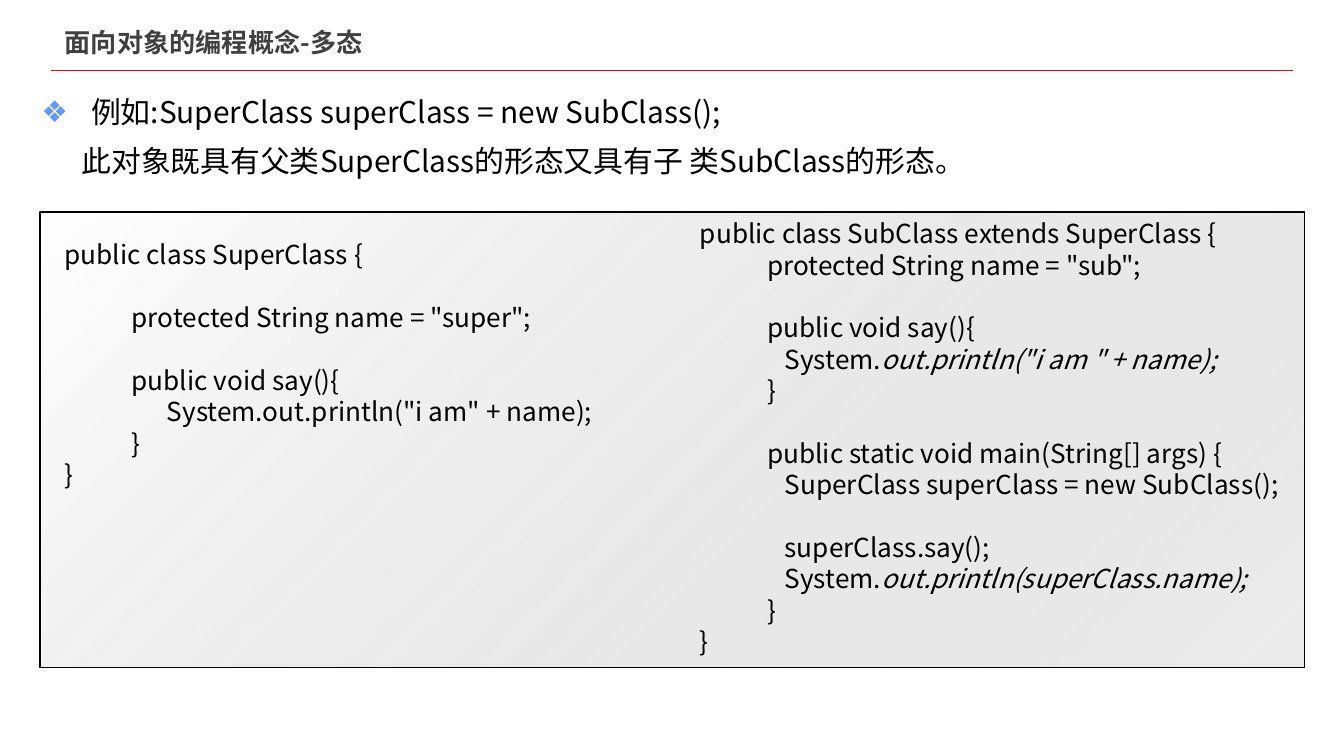
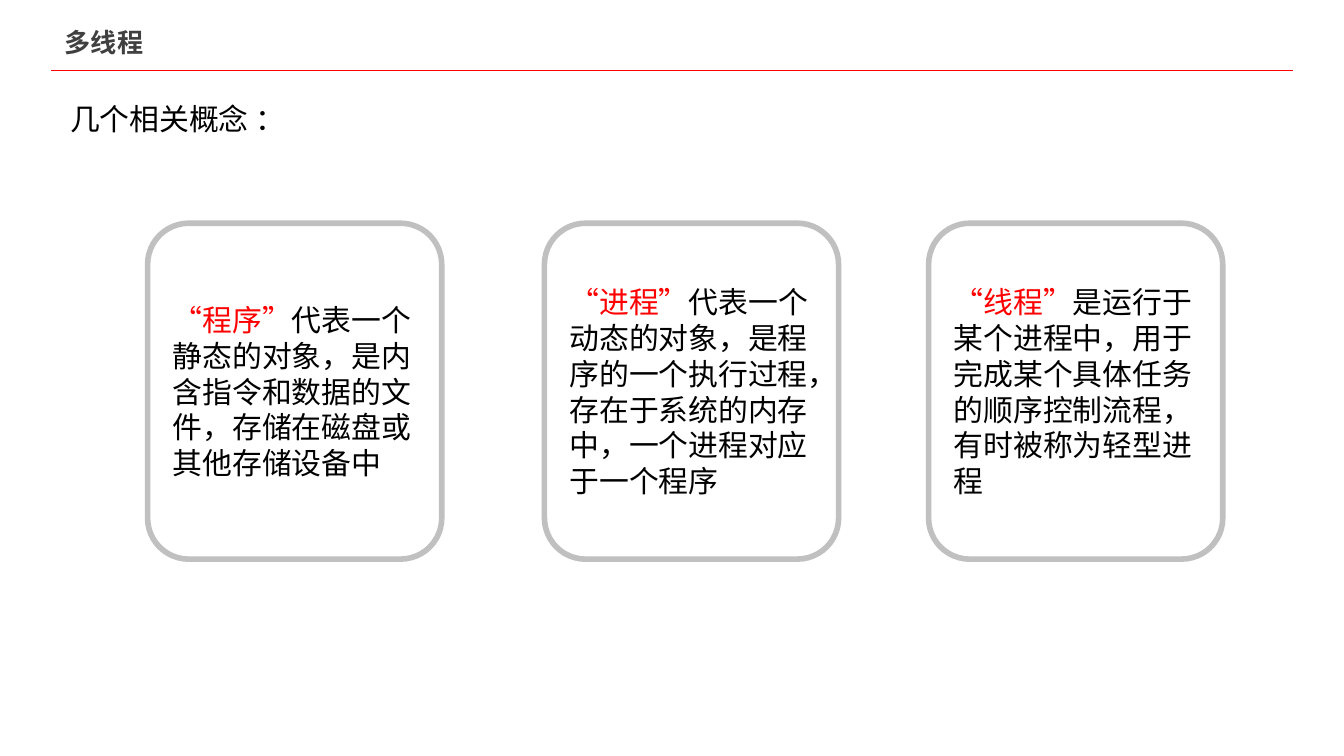
from lxml.etree import SubElement
from pptx import Presentation
from pptx.dml.color import RGBColor
from pptx.enum.shapes import MSO_CONNECTOR, MSO_SHAPE
from pptx.enum.text import MSO_ANCHOR, MSO_AUTO_SIZE, PP_ALIGN
from pptx.oxml.ns import qn
from pptx.util import Cm, Pt

COLORS = {
    "black": "000000",
    "white": "FFFFFF",
    "title": "404040",
    "red": "FF0000",
    "silver": "C0C0C0",
    "bullet": "6699FF",
}
FONT = "Noto Sans CJK SC"
LINE_HEIGHT = 1.2
CODE_SIZE = 14
TEXT_SIZE = 16

SUPER_CODE = [
    (0, False, "public class SuperClass {"),
    (1, True, "protected String name = \"super\";"),
    (1, True, "public void say(){"),
    (1, False, "      System.out.println(\"i am\" + name);"),
    (1, False, "}"),
    (0, False, "}"),
]
SUB_CODE = [
    (0, False, "public class SubClass extends SuperClass {"),
    (1, False, "protected String name = \"sub\";"),
    (1, True, "public void say(){"),
    (1, False, "   System.", "out.println(\"i am \" + name);"),
    (1, False, "}"),
    (1, True, "public static void main(String[] args) {"),
    (1, False, "   SuperClass superClass = new SubClass();"),
    (1, True, "   superClass.say();"),
    (1, False, "   System.", "out.println(superClass.name);"),
    (1, False, "}"),
    (0, False, "}"),
]
CONCEPTS = [
    (2.79, "“程序”", "代表一个静态的对象，是内含指令和数据的文件，存储在磁盘或其他存储设备中"),
    (10.29, "“进程”", "代表一个动态的对象，是程序的一个执行过程，存在于系统的内存中，一个进程对应于一个程序"),
    (17.55, "“线程”", "是运行于某个进程中，用于完成某个具体任务的顺序控制流程，有时被称为轻型进程"),
]


def rgb(name):
    return RGBColor.from_string(COLORS[name])


class Deck:
    """Holds the shared style and the slide being built."""

    def __init__(self):
        self.presentation = Presentation()
        self.presentation.slide_width = Cm(25.4)
        self.presentation.slide_height = Cm(14.29)
        self.slide = None

    def new_slide(self, title):
        layout = self.presentation.slide_layouts[1]
        self.slide = self.presentation.slides.add_slide(layout)
        shape = self.slide.shapes.title
        self.place(shape, 0.97, 0.41, 11.13, 0.76)
        frame = self.prepare(shape, MSO_ANCHOR.MIDDLE)
        paragraph = self.add_text(frame, [title], CODE_SIZE, color="title")
        paragraph.font.bold = True
        self.rule()

    def place(self, shape, left, top, width, height):
        shape.left, shape.top = Cm(left), Cm(top)
        shape.width, shape.height = Cm(width), Cm(height)

    def prepare(self, shape, anchor=MSO_ANCHOR.TOP):
        frame = shape.text_frame
        frame.word_wrap = True
        frame.auto_size = MSO_AUTO_SIZE.NONE
        frame.vertical_anchor = anchor
        return frame

    def add_text(self, frame, parts, size, color="black", margin=0, hanging=0, before=0, bullet=None):
        first = frame.paragraphs[0]
        paragraph = frame.add_paragraph() if first.runs else first
        properties = paragraph._p.get_or_add_pPr()
        properties.set("marL", str(Cm(margin)))
        properties.set("indent", str(Cm(-hanging)))
        if bullet:
            bullet_color = SubElement(properties, qn("a:buClr"))
            SubElement(bullet_color, qn("a:srgbClr"), val=COLORS["bullet"])
            SubElement(properties, qn("a:buChar"), char=bullet)
        else:
            SubElement(properties, qn("a:buNone"))
        paragraph.alignment = PP_ALIGN.LEFT
        paragraph.line_spacing = Pt(size * LINE_HEIGHT)
        paragraph.space_before = Pt(before)
        paragraph.font.size = Pt(size)
        paragraph.font.name = FONT
        paragraph.font.color.rgb = rgb(color)
        SubElement(properties.find(qn("a:defRPr")), qn("a:ea"), typeface=FONT)
        for part in parts:
            paragraph.add_run().text = part
        return paragraph

    def rule(self):
        line = self.slide.shapes.add_connector(
            MSO_CONNECTOR.STRAIGHT, Cm(0.97), Cm(1.32), Cm(24.43), Cm(1.32)
        )
        line.line.color.rgb = rgb("red")
        line.line.width = Pt(0.25)
        SubElement(line._element.spPr, qn("a:effectLst"))

    def body(self, left, top, width, height):
        shape = self.slide.placeholders[1]
        self.place(shape, left, top, width, height)
        return self.prepare(shape)

    def outline(self, kind, left, top, width, height, color, weight):
        shape = self.slide.shapes.add_shape(kind, Cm(left), Cm(top), Cm(width), Cm(height))
        shape.shadow.inherit = False
        shape.fill.background()
        shape.line.color.rgb = rgb(color)
        shape.line.width = Pt(weight)
        return shape

    def code_panel(self, left, top, width, height):
        shape = self.outline(MSO_SHAPE.RECTANGLE, left, top, width, height, "black", 0.75)
        shape.fill.gradient()
        shape.fill.gradient_angle = 315
        stops = shape.fill.gradient_stops
        for stop, position, color in zip(stops, (0, 1), ("white", "silver")):
            stop.position = position
            stop.color.rgb = rgb(color)
        end_color = stops[1]._gs.find(qn("a:srgbClr"))
        SubElement(end_color, qn("a:alpha"), val="30000")

    def code_text(self, lines, left, top, width, height):
        box = self.slide.shapes.add_textbox(Cm(left), Cm(top), Cm(width), Cm(height))
        frame = self.prepare(box)
        for level, gap, *parts in lines:
            before = CODE_SIZE * LINE_HEIGHT if gap else 0
            paragraph = self.add_text(frame, parts, CODE_SIZE, margin=1.27 * level, before=before)
            for run in paragraph.runs[1:]:
                run.font.italic = True

    def card(self, left, term, meaning):
        shape = self.outline(MSO_SHAPE.ROUNDED_RECTANGLE, left, 4.22, 5.56, 6.35, "silver", 3)
        shape.adjustments[0] = 0.14
        frame = self.prepare(shape, MSO_ANCHOR.MIDDLE)
        paragraph = self.add_text(frame, [term, meaning], TEXT_SIZE)
        paragraph.runs[0].font.color.rgb = rgb("red")


def polymorphism_slide(deck):
    deck.new_slide("面向对象的编程概念-多态")
    frame = deck.body(0.53, 1.65, 24.71, 1.88)
    example = "例如:SuperClass superClass = new SubClass();"
    deck.add_text(frame, [example], TEXT_SIZE, margin=0.94, hanging=0.94, bullet="❖")
    remark = "此对象既具有父类SuperClass的形态又具有子 类SubClass的形态。"
    deck.add_text(frame, [remark], TEXT_SIZE, margin=0.76, before=7)
    deck.code_panel(0.76, 4.01, 23.9, 8.61)
    deck.code_text(SUPER_CODE, 0.97, 4.39, 11.43, 5.05)
    deck.code_text(SUB_CODE, 12.98, 3.99, 11.89, 8.64)


def threads_slide(deck):
    deck.new_slide("多线程")
    frame = deck.body(1.07, 1.78, 7.7, 0.94)
    deck.add_text(frame, ["几个相关概念 ："], TEXT_SIZE)
    for left, term, meaning in CONCEPTS:
        deck.card(left, term, meaning)


def main():
    deck = Deck()
    polymorphism_slide(deck)
    threads_slide(deck)
    deck.presentation.save("out.pptx")


if __name__ == "__main__":
    main()
